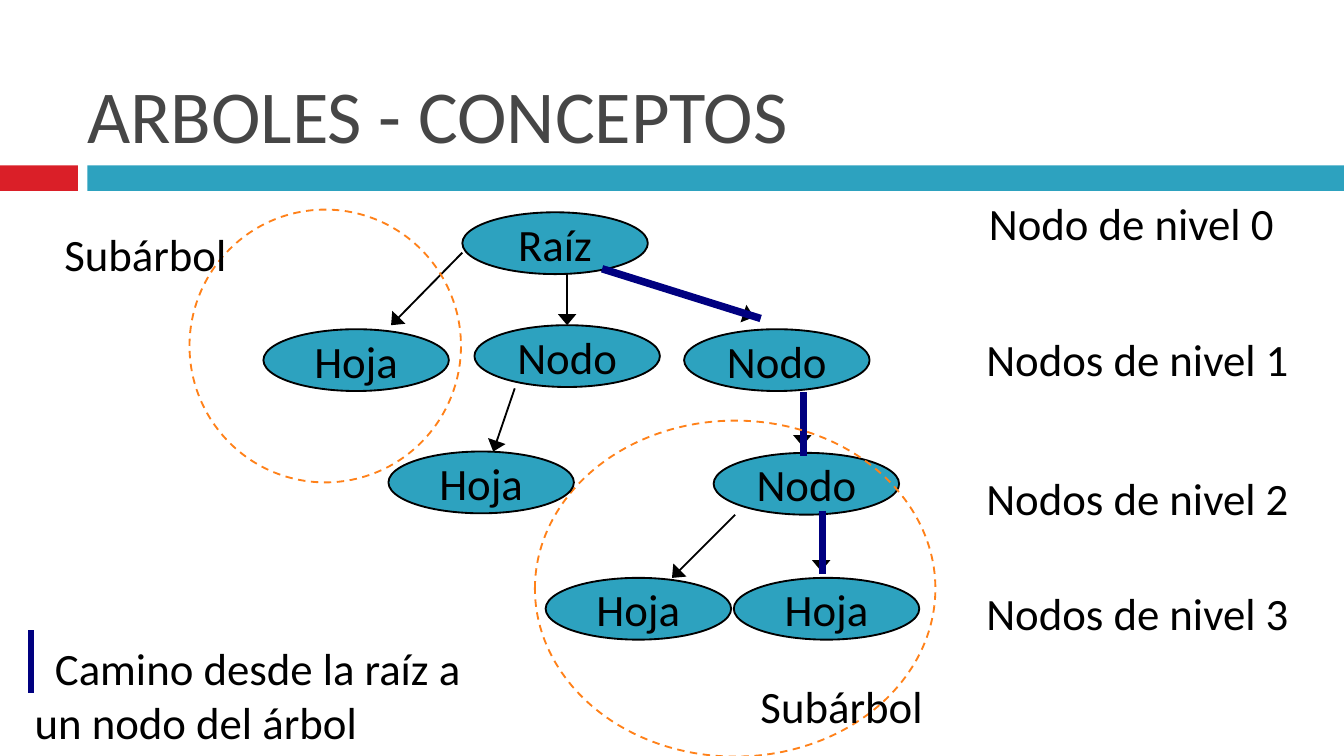
from dataclasses import dataclass
from typing import Optional

from lxml import etree
from pptx import Presentation
from pptx.dml.color import RGBColor
from pptx.enum.dml import MSO_LINE
from pptx.enum.shapes import MSO_CONNECTOR, MSO_SHAPE
from pptx.enum.text import MSO_ANCHOR, PP_ALIGN
from pptx.oxml.ns import qn
from pptx.util import Pt

PX = 9144
SLIDE_W = 1000 * PX
SLIDE_H = SLIDE_W * 9 // 16
FONT = "Calibri"
TEAL, RED, NAVY, ORANGE = "2DA2BF", "DA1F28", "000080", "FF8119"
BLACK, GRAY = "000000", "464646"
RECT, OVAL = MSO_SHAPE.RECTANGLE, MSO_SHAPE.OVAL
STRAIGHT, DASH = MSO_CONNECTOR.STRAIGHT, MSO_LINE.DASH
TOP, MIDDLE, BOTTOM = MSO_ANCHOR.TOP, MSO_ANCHOR.MIDDLE, MSO_ANCHOR.BOTTOM
LEFT, CENTER = PP_ALIGN.LEFT, PP_ALIGN.CENTER
NODE_W, NODE_H = 138, 46
LABEL_H = 50


@dataclass
class Node:
    text: str
    x: int
    y: int


@dataclass
class Line:
    x1: int
    y1: int
    x2: int
    y2: int
    color: str = BLACK
    weight: int = 1
    arrow: bool = True


@dataclass
class Label:
    text: str
    x: int
    y: int
    w: int
    h: int = LABEL_H
    size: int = 24
    color: str = BLACK
    anchor: MSO_ANCHOR = TOP
    indent: int = 0


@dataclass
class Area:
    x: int
    y: int
    w: int
    h: int
    fill: Optional[str] = None
    kind: MSO_SHAPE = RECT


BARS = [Area(0, 123, 58, 19, RED), Area(65, 123, 935, 19, TEAL)]
TITLE = Label("ARBOLES - CONCEPTOS", 55, 13, 933, 110, 40, GRAY, BOTTOM)
NODES = [
    Node("Raíz", 344, 158),
    Node("Hoja", 196, 245),
    Node("Nodo", 509, 245),
    Node("Nodo", 531, 337),
    Node("Hoja", 546, 430),
    Node("Hoja", 406, 430),
]
ARROWS = [
    Line(344, 188, 291, 242),
    Line(451, 199, 561, 236),
    Line(597, 295, 597, 332),
    Line(547, 383, 500, 430),
    Line(611, 388, 611, 425),
]
LEVELS = [
    Label("Nodo de nivel 0", 726, 141, 264),
    Label("Nodos de nivel 1", 724, 242, 280),
    Label("Nodos de nivel 2", 724, 345, 280),
    Label("Nodos de nivel 3", 724, 431, 280),
]
ROUTE = [
    Line(448, 200, 566, 237, NAVY, 4, False),
    Line(598, 292, 598, 339, NAVY, 4, False),
    Line(612, 380, 612, 427, NAVY, 4, False),
    Line(23, 469, 23, 516, NAVY, 3, False),
]
LEGEND = Label("Camino desde la raíz a un nodo del árbol", 16, 472, 359, 130, indent=15)
SUBTREES = [
    (Area(141, 156, 202, 203, kind=OVAL), Label("Subárbol", 38, 164, 161)),
    (Area(398, 313, 298, 250, kind=OVAL), Label("Subárbol", 556, 500, 161)),
]
MIDDLE_NODE = Node("Nodo", 353, 242)
MIDDLE_LEAF = Node("Hoja", 289, 336)


def rgb(value: str) -> RGBColor:
    return RGBColor.from_string(value)


def set_attrs(obj, values: dict) -> None:
    for name, value in values.items():
        setattr(obj, name, value)


def write(s, text: str, size: int, color: str, frame: dict, align: PP_ALIGN, indent: int = 0) -> None:
    tf = s.text_frame
    set_attrs(tf, frame)
    p = tf.paragraphs[0]
    p.alignment = align
    if indent:
        p._p.get_or_add_pPr().set("indent", str(indent * PX))
    r = p.add_run()
    r.text = text
    set_attrs(r.font, {"name": FONT, "size": Pt(size)})
    r.font.color.rgb = rgb(color)


def draw_area(slide, area: Area):
    s = slide.shapes.add_shape(area.kind, area.x * PX, area.y * PX, area.w * PX, area.h * PX)
    s.shadow.inherit = False
    s.line.fill.background()
    if area.fill:
        s.fill.solid()
        s.fill.fore_color.rgb = rgb(area.fill)
    else:
        s.fill.background()
    return s


def outline(s, color: str, weight: int = 1) -> None:
    s.line.color.rgb = rgb(color)
    s.line.width = Pt(weight)


def draw_node(slide, node: Node):
    s = draw_area(slide, Area(node.x, node.y, NODE_W, NODE_H, TEAL, OVAL))
    outline(s, BLACK)
    write(s, node.text, 24, BLACK, {"word_wrap": False, "vertical_anchor": MIDDLE}, CENTER)
    return s


def draw_label(slide, label: Label) -> None:
    s = slide.shapes.add_textbox(label.x * PX, label.y * PX, label.w * PX, label.h * PX)
    frame = {"word_wrap": True, "vertical_anchor": label.anchor}
    write(s, label.text, label.size, label.color, frame, LEFT, label.indent)


def draw_line(slide, line: Line):
    s = slide.shapes.add_connector(STRAIGHT, line.x1 * PX, line.y1 * PX, line.x2 * PX, line.y2 * PX)
    outline(s, line.color, line.weight)
    if line.arrow:
        etree.SubElement(s.line._get_or_add_ln(), qn("a:tailEnd"), type="triangle", w="lg", len="med")
    etree.SubElement(s._element.spPr, qn("a:effectLst"))
    return s


def draw_subtree(slide, area: Area, label: Label) -> None:
    s = draw_area(slide, area)
    outline(s, ORANGE)
    s.line.dash_style = DASH
    draw_label(slide, label)


def main() -> None:
    prs = Presentation()
    set_attrs(prs, {"slide_width": SLIDE_W, "slide_height": SLIDE_H})
    slide = prs.slides.add_slide(prs.slide_layouts[6])
    for bar in BARS:
        draw_area(slide, bar)
    draw_label(slide, TITLE)
    for node in NODES:
        draw_node(slide, node)
    for arrow in ARROWS:
        draw_line(slide, arrow)
    for level in LEVELS:
        draw_label(slide, level)
    for step in ROUTE:
        draw_line(slide, step)
    draw_label(slide, LEGEND)
    for area, label in SUBTREES:
        draw_subtree(slide, area, label)
    middle = draw_node(slide, MIDDLE_NODE)
    draw_line(slide, Line(422, 203, 422, 242)).end_connect(middle, 0)
    draw_line(slide, Line(383, 289, 367, 336))
    draw_node(slide, MIDDLE_LEAF)
    prs.save("out.pptx")


if __name__ == "__main__":
    main()
